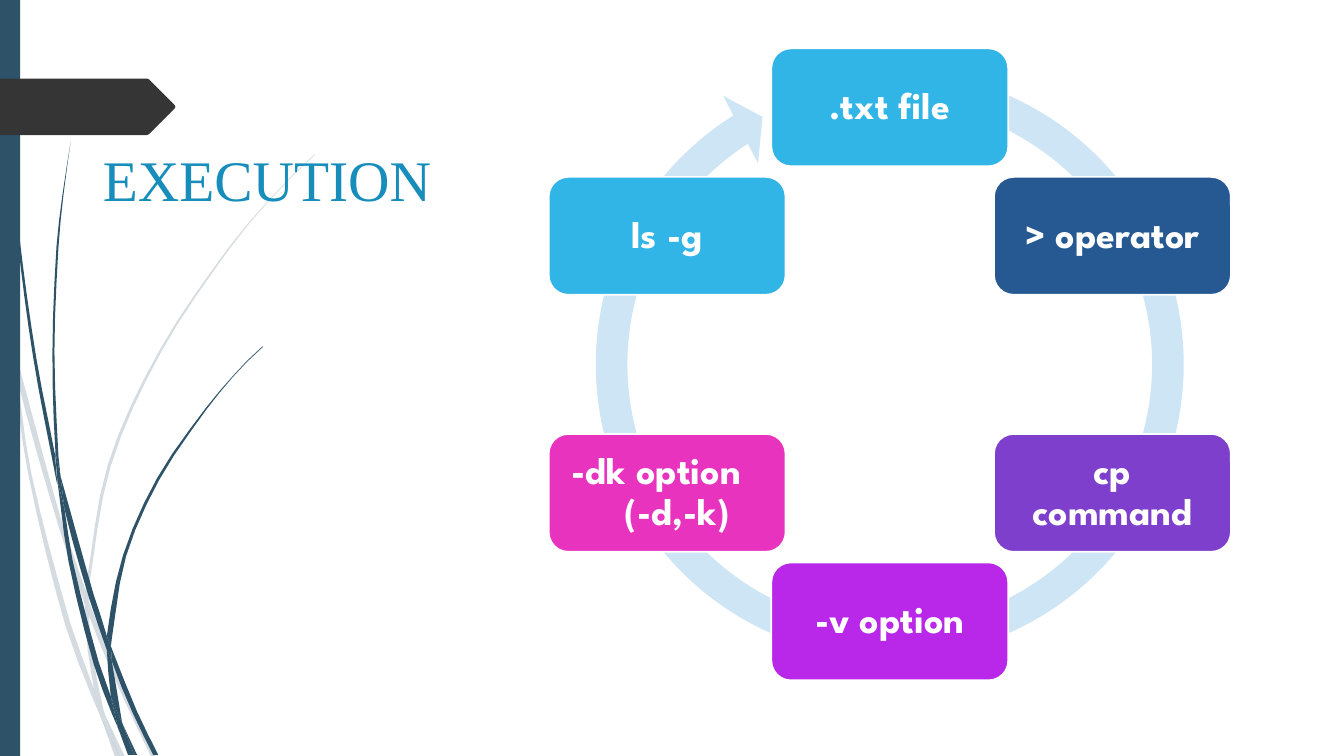
import math
from lxml import etree
from pptx import Presentation
from pptx import util as u
from pptx.dml import color
from pptx.enum import shapes, text
from pptx.oxml import ns

COLORS = {
    "slate": "2E5369", "tag": "353535", "heading": "178DBB", "ring": "CEE5F5",
    "white": "FFFFFF", "sky": "31B4E6", "navy": "265991", "violet": "7E40CC",
    "purple": "B927E9", "pink": "E833BF",
}

# Outline corners of the grass blades, in inches from the top left of their box
PALE_BLADES = [
    [(.11, 3.5), (.09, 3.22), (0, 2.82), (0, 2.99), (.1, 3.44)],
    [(.58, 5.22), (.84, 5.99), (.85, 5.86), (.62, 5.2), (.14, 3.45), (.17, 3.76)],
    [(.92, 6.07), (.88, 5.96), (.88, 6.1), (1.23, 6.94), (1.5, 7.51), (1.55, 7.51),
     (1.27, 6.92)],
    [(1.19, 7.51), (1.24, 7.51), (1.05, 7.11)],
    [(.93, 6.83), (.7, 6.19), (.31, 4.69), (.17, 3.76), (.11, 3.5), (.28, 4.7),
     (.65, 6.21), (.92, 6.93), (1.01, 7.14), (.99, 7.07)],
    [(.84, 5.99), (.87, 6.46), (.93, 6.83), (.96, 6.92), (1.05, 7.11), (1.03, 7.06),
     (.91, 6.46), (.88, 6.1), (.88, 6.08)],
    [(.88, 5.84), (1.1, 4.62), (1.6, 3.49), (2.29, 2.45), (2.68, 1.98), (2.9, 1.75),
     (3.12, 1.54), (3.12, 1.53), (2.89, 1.75), (2.68, 1.97), (2.28, 2.44),
     (1.58, 3.48), (1.07, 4.61), (.85, 5.84), (.85, 5.86), (.88, 5.96)],
    [(1.01, 7.14), (1.14, 7.51), (1.19, 7.51)],
    [(.88, 6.08), (.88, 6.1), (.88, 5.96), (.85, 5.86), (.84, 5.99)],
    [(.96, 6.92), (.93, 6.83), (.99, 7.07), (1.01, 7.14), (1.19, 7.51), (1.05, 7.11)],
]
DARK_BLADES = [
    [(.07, 1.1), (.17, 2.33), (.33, 3.55), (.56, 4.77), (.57, 4.81), (.55, 4.57),
     (.55, 4.53), (.36, 3.55), (.19, 2.32), (.08, 1.09), (.05, .48), (.04, 0),
     (.03, 0), (.04, .48)],
    [(.88, 5.92), (1.06, 6.45), (1.06, 6.31), (.93, 5.9), (.6, 4.72), (.64, 5.05)],
    [(1.13, 6.49), (1.1, 6.41), (1.11, 6.56), (1.32, 7.08), (1.52, 7.49), (1.57, 7.49),
     (1.36, 7.06)],
    [(1.1, 6.91), (.98, 6.57), (.72, 5.56), (.64, 5.05), (.57, 4.77), (.68, 5.57),
     (.93, 6.59), (1.11, 7.08), (1.17, 7.22), (1.16, 7.17)],
    [(.6, 4.72), (.58, 4.53), (.54, 3.49), (.58, 2.45), (.63, 1.93), (.7, 1.41),
     (.62, 1.93), (.56, 2.45), (.52, 3.49), (.55, 4.49)],
    [(1.33, 7.49), (1.36, 7.49), (1.22, 7.19)],
    [(.57, 4.77), (.64, 5.05), (.6, 4.72), (.55, 4.49), (.55, 4.53)],
    [(1.11, 6.33), (1.25, 5.52), (1.58, 4.76), (2.05, 4.06), (2.31, 3.74), (2.45, 3.59),
     (2.61, 3.44), (2.6, 3.44), (2.45, 3.58), (2.31, 3.73), (2.04, 4.05),
     (1.56, 4.74), (1.22, 5.51), (1.06, 6.31), (1.1, 6.41)],
    [(1.17, 7.22), (1.27, 7.49), (1.31, 7.49)],
    [(1.06, 6.45), (1.1, 6.91), (1.16, 7.06), (1.22, 7.19), (1.21, 7.16), (1.11, 6.56),
     (1.09, 6.51)],
    [(1.06, 6.45), (1.09, 6.51), (1.11, 6.56), (1.1, 6.41), (1.06, 6.31)],
    [(1.16, 7.06), (1.1, 6.91), (1.16, 7.17), (1.17, 7.22), (1.3, 7.49), (1.33, 7.49),
     (1.22, 7.19)],
]
PAGE_TAG = [(0, 0), (1.46, 0), (1.48, .01), (1.73, .26), (1.74, .28), (1.73, .3),
            (1.48, .55), (1.46, .56), (0, .56)]
STEPS = [  # clockwise from the top
    (".txt file", "sky"), ("> operator", "navy"), ("cp command", "violet"),
    ("-v option", "purple"), ("-dk option\n(-d,-k)", "pink"), ("ls -g", "sky"),
]


def rgb(name):
    return color.RGBColor.from_string(COLORS[name])


def paint(shape, name, opacity=100):
    shape.shadow.inherit = False
    shape.line.fill.background()
    shape.fill.solid()
    shape.fill.fore_color.rgb = rgb(name)
    if opacity < 100:
        fill = shape.element.spPr.find(ns.qn("a:solidFill"))
        etree.SubElement(fill[0], ns.qn("a:alpha"), val=str(opacity * 1000))


def unit(start, end):
    length = math.dist(start, end)
    return (end[0] - start[0]) / length, (end[1] - start[1]) / length


def heading(before, here, after, side):
    """Direction of the curve at a corner; sharp turns keep their own side."""
    arriving, leaving = unit(before, here), unit(here, after)
    gentle = arriving[0] * leaving[0] + arriving[1] * leaving[1] > 0.8
    return unit(before, after) if gentle else side


def smooth(corners, spacing=0.4):
    """Curve a closed outline through its corners, with points only on long sides."""
    points = []
    for i, start in enumerate(corners):
        before, end = corners[i - 1], corners[(i + 1) % len(corners)]
        after = corners[(i + 2) % len(corners)]
        side, length = unit(start, end), math.dist(start, end)
        out = heading(before, start, end, side)
        into = heading(start, end, after, side)
        steps = math.ceil(length / spacing)
        for step in range(steps):
            t = step / steps
            a, b = 2 * t**3 - 3 * t**2 + 1, 3 * t**2 - 2 * t**3
            c, d = (t**3 - 2 * t**2 + t) * length, (t**3 - t**2) * length
            points.append(tuple(a * start[k] + b * end[k] + c * out[k] + d * into[k]
                                for k in (0, 1)))
    return points


def add_outline(slide, left, top, points, name, opacity=100):
    spots = [(u.Inches(left + x), u.Inches(top + y)) for x, y in points]
    builder = slide.shapes.build_freeform(*spots[0])
    builder.add_line_segments(spots[1:], close=True)
    paint(builder.convert_to_shape(), name, opacity)


def add_side_decoration(slide, left, top, height):
    for blades, opacity in ((PALE_BLADES, 20), (DARK_BLADES, 100)):
        for blade in blades:
            add_outline(slide, left, top, smooth(blade), "slate", opacity)
    band = slide.shapes.add_shape(shapes.MSO_SHAPE.RECTANGLE, u.Inches(left),
                                  u.Inches(top), u.Inches(0.2), u.Inches(height))
    paint(band, "slate")
    add_outline(slide, left, top + 0.78, PAGE_TAG, "tag")


def add_title(slide, left, top, width, height):
    title = slide.shapes.title
    title.left, title.top = u.Inches(left), u.Inches(top)
    title.width, title.height = u.Inches(width), u.Inches(height)
    title.element.getparent().append(title.element)  # in front of the blades
    frame = title.text_frame
    frame.auto_size = text.MSO_AUTO_SIZE.NONE
    frame.vertical_anchor = text.MSO_ANCHOR.TOP
    frame.margin_top = u.Inches(0.12)
    line = frame.paragraphs[0]
    line.alignment = text.PP_ALIGN.LEFT
    word = line.add_run()
    word.text = "EXECUTION"
    word.font.size, word.font.name = u.Pt(41), "Times New Roman"
    word.font.color.rgb = rgb("heading")


def add_card(slide, left, top, width, height, label, name):
    card = slide.shapes.add_shape(shapes.MSO_SHAPE.ROUNDED_RECTANGLE, u.Inches(left),
                                  u.Inches(top), u.Inches(width), u.Inches(height))
    paint(card, name)
    card.line.color.rgb, card.line.width = rgb("white"), u.Pt(1.25)
    frame = card.text_frame
    frame.word_wrap = True
    frame.vertical_anchor = text.MSO_ANCHOR.MIDDLE
    frame.margin_left = frame.margin_right = u.Inches(0.17)
    frame.margin_top = frame.margin_bottom = u.Inches(0.11)
    lines = label.split("\n")
    for i, words in enumerate(lines):
        line = frame.add_paragraph() if i else frame.paragraphs[0]
        leads = i < len(lines) - 1
        line.alignment = text.PP_ALIGN.LEFT if leads else text.PP_ALIGN.CENTER
        line.line_spacing, line.space_after = 0.9, u.Pt(0)
        if i:  # the second line sits a little to the right
            line._p.get_or_add_pPr().set("marL", str(u.Inches(0.2)))
        run = line.add_run()
        run.text = words
        run.font.size, run.font.name, run.font.bold = u.Pt(27), "League Spartan", True
        run.font.color.rgb = rgb("white")


def add_cycle(slide, left, top, size):
    ring = slide.shapes.add_shape(shapes.MSO_SHAPE.CIRCULAR_ARROW, u.Inches(left),
                                  u.Inches(top), u.Inches(size), u.Inches(size))
    for i, value in enumerate((0.05, 3.13, 142.55, 171.12, 0.06)):
        ring.adjustments[i] = value
    paint(ring, "ring")
    width, height, radius = 2.35, 1.17, 2.55
    for i, (label, name) in enumerate(STEPS):
        angle = 2 * math.pi * i / len(STEPS)
        x = left + size / 2 + radius * math.sin(angle)
        y = top + size / 2 - radius * math.cos(angle)
        add_card(slide, x - width / 2, y - height / 2, width, height, label, name)


def main():
    deck = Presentation()
    deck.slide_width, deck.slide_height = u.Inches(13.33), u.Inches(7.5)
    slide = deck.slides.add_slide(deck.slide_layouts[5])
    add_side_decoration(slide, 0, 0, 7.5)
    add_title(slide, 0.92, 1.31, 3.5, 4.63)
    add_cycle(slide, 5.69, 0.48, 6.27)
    deck.save("out.pptx")


if __name__ == "__main__":
    main()
